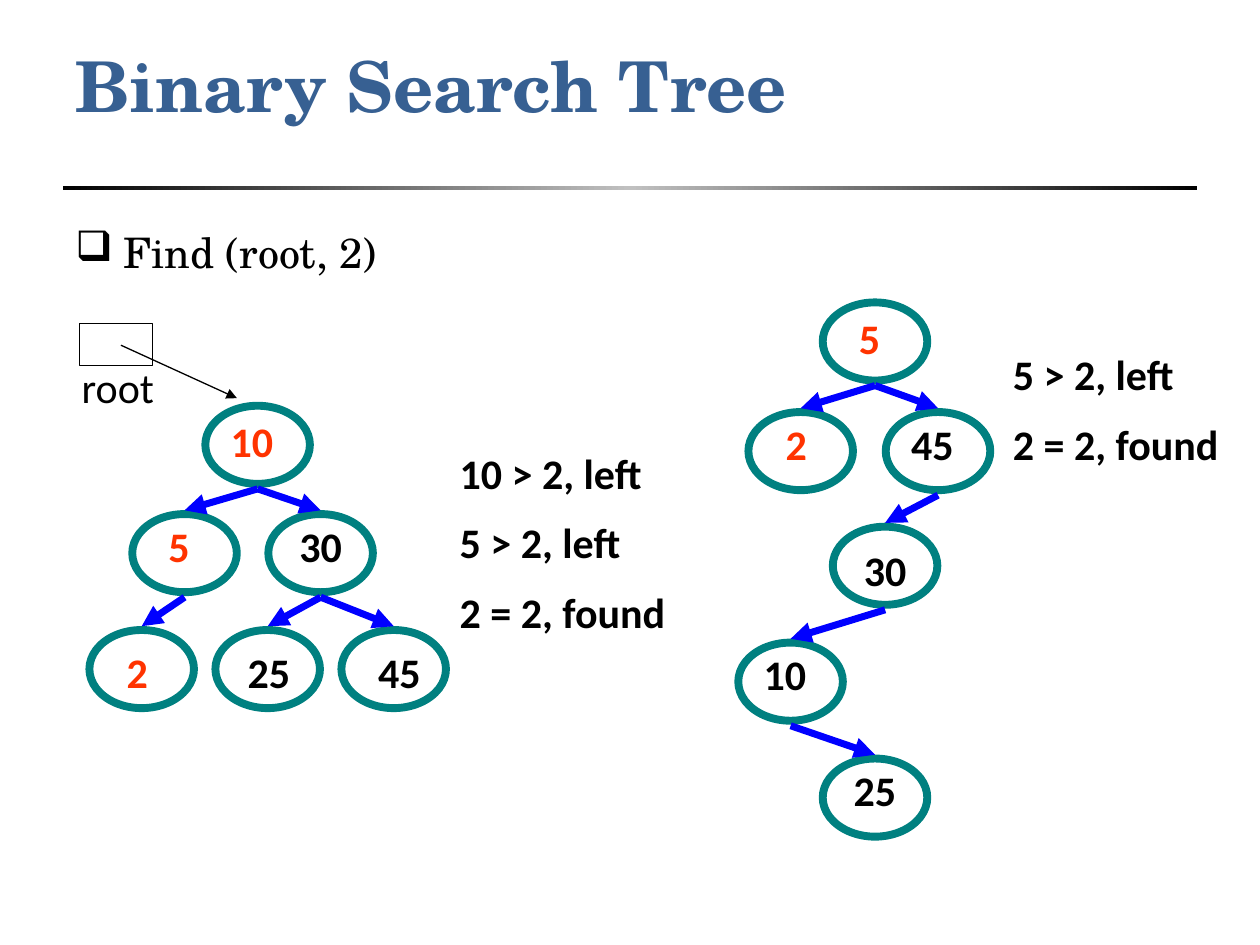
"""Build a slide that compares lookups in a balanced and an unbalanced binary search tree."""
import copy
from dataclasses import dataclass

import lxml.etree
import pptx
import pptx.dml.color
import pptx.enum.dml
import pptx.enum.shapes
import pptx.enum.text
import pptx.oxml.ns
import pptx.util
from pptx.util import Inches

COLORS = {"title": "376092", "text": "000000", "visited": "FF3300", "node": "008080",
          "edge": "0000FF", "rule": "C0C0C0"}
HEADING_FONT, BODY_FONT = "TeX Gyre Schola", "Calibri"
NODE_W, NODE_H = 0.83, 0.62
LABEL_H = 0.5
EDGE_START_GAP, EDGE_END_GAP = 0.04, 0.03


@dataclass
class Node:
    """A tree node with the place of its oval and of its label."""
    value: int
    left: float
    top: float
    label_left: float
    label_top: float
    label_width: float
    visited: bool = False


@dataclass
class Tree:
    """Nodes, parent-child pairs and the search steps beside them."""
    nodes: list[Node]
    edges: list[tuple[int, int]]
    steps: list[str]
    steps_box: tuple[float, float, float, float]


BALANCED = Tree(
    [Node(10, 1.63, 3.22, 1.71, 3.25, 0.58, True),
     Node(5, 1.05, 4.08, 1.21, 4.08, 0.42, True),
     Node(30, 2.13, 4.08, 2.21, 4.08, 0.67),
     Node(2, 0.71, 5, 0.88, 5.08, 0.42, True),
     Node(25, 1.71, 5, 1.8, 5.08, 0.67),
     Node(45, 2.71, 5, 2.88, 5.08, 0.58)],
    [(10, 5), (10, 30), (5, 2), (30, 25), (30, 45)],
    ["10 > 2, left", "5 > 2, left", "2 = 2, found"], (3.55, 3.5, 2.5, 1.7))
UNBALANCED = Tree(
    [Node(5, 6.53, 2.4, 6.69, 2.43, 0.42, True),
     Node(2, 5.94, 3.27, 6.11, 3.27, 0.42, True),
     Node(45, 7.03, 3.27, 7.11, 3.27, 0.58),
     Node(30, 6.61, 4.18, 6.69, 4.27, 0.67),
     Node(10, 5.86, 5.1, 5.94, 5.1, 0.58),
     Node(25, 6.53, 6.02, 6.61, 6.02, 0.67)],
    [(5, 2), (5, 45), (45, 30), (30, 10), (10, 25)],
    ["5 > 2, left", "2 = 2, found"], (7.94, 2.72, 2.05, 1.1))


def rgb(name: str) -> pptx.dml.color.RGBColor:
    """Return a named palette colour."""
    return pptx.dml.color.RGBColor.from_string(COLORS[name])


def style_text(p, size: float, color: str, font: str = BODY_FONT, bold: bool = False) -> None:
    """Format every run of a paragraph."""
    for r in p.runs:
        r.font.size = pptx.util.Pt(size)
        r.font.name = font
        r.font.bold = bold
        r.font.color.rgb = rgb(color)


def add_text(s, lines: list[str], box: tuple[float, float, float, float], color: str = "text",
             font: str = BODY_FONT, bold: bool = False, centered: bool = False,
             wrap: bool = True):
    """Add a text box with one paragraph per line."""
    tf = s.shapes.add_textbox(*map(Inches, box)).text_frame
    tf.word_wrap = wrap
    tf.text = "\n".join(lines)
    for i, p in enumerate(tf.paragraphs):
        if centered:
            p.alignment = pptx.enum.text.PP_ALIGN.CENTER
        if i:
            p.space_before = pptx.util.Pt(11)
        style_text(p, 24, color, font, bold)
    return tf


def add_outline(s, kind, box: tuple[float, float, float, float], color: str,
                width: float) -> None:
    """Add an unfilled preset shape."""
    sp = s.shapes.add_shape(kind, *map(Inches, box))
    sp.shadow.inherit = False
    sp.fill.background()
    sp.line.color.rgb = rgb(color)
    sp.line.width = pptx.util.Pt(width)


def add_arrow(s, start: tuple[float, float], end: tuple[float, float], color: str,
              width: float) -> None:
    """Add a straight line with a triangle at its end."""
    cx = s.shapes.add_connector(pptx.enum.shapes.MSO_CONNECTOR.STRAIGHT,
                                *map(Inches, (*start, *end)))
    cx.line.color.rgb = rgb(color)
    cx.line.width = pptx.util.Pt(width)
    qn = pptx.oxml.ns.qn
    lxml.etree.SubElement(cx.line._get_or_add_ln(), qn("a:tailEnd"), type="triangle")
    lxml.etree.SubElement(cx._element.spPr, qn("a:effectLst"))


def add_tree(s, tree: Tree) -> None:
    """Draw a tree's nodes, edges, labels and search steps."""
    by_value = {node.value: node for node in tree.nodes}
    for node in tree.nodes:
        add_outline(s, pptx.enum.shapes.MSO_SHAPE.OVAL,
                    (node.left, node.top, NODE_W, NODE_H), "node", 4.5)
    for parent_value, child_value in tree.edges:
        parent, child = by_value[parent_value], by_value[child_value]
        add_arrow(s, (parent.left + NODE_W / 2, parent.top + NODE_H + EDGE_START_GAP),
                  (child.left + NODE_W / 2, child.top - EDGE_END_GAP), "edge", 4)
    for node in tree.nodes:
        add_text(s, [str(node.value)],
                 (node.label_left, node.label_top, node.label_width, LABEL_H),
                 "visited" if node.visited else "text", bold=True, centered=True)
    add_text(s, tree.steps, tree.steps_box, bold=True)


def add_title(s, text: str) -> None:
    """Place and format the title placeholder."""
    sp = s.shapes.title
    sp.left, sp.top, sp.width, sp.height = map(Inches, (0.5, 0.3, 9, 0.74))
    tf = sp.text_frame
    tf.text = text
    tf.auto_size = pptx.enum.text.MSO_AUTO_SIZE.NONE
    tf.vertical_anchor = pptx.enum.text.MSO_ANCHOR.MIDDLE
    p = tf.paragraphs[0]
    p.alignment = pptx.enum.text.PP_ALIGN.LEFT
    style_text(p, 40, "title", HEADING_FONT, True)


def add_rule(s) -> None:
    """Add the rule under the title, dark at both ends and light in the middle."""
    sp = s.shapes.add_shape(pptx.enum.shapes.MSO_SHAPE.RECTANGLE,
                            *map(Inches, (0.5, 1.48, 9, 0.03)))
    sp.shadow.inherit = False
    sp.line.fill.background()
    sp.fill.gradient()
    sp.fill.gradient_angle = 0
    stops = sp._element.spPr.find(".//" + pptx.oxml.ns.qn("a:gsLst"))
    stops.append(copy.deepcopy(stops[-1]))
    for stop, position, color in zip(sp.fill.gradient_stops, (0, 0.5, 1),
                                     ("text", "rule", "text")):
        stop.position = position
        stop.color.rgb = rgb(color)


def add_bullet(s, text: str) -> None:
    """Add the bulleted line that names the search."""
    tf = add_text(s, [text], (0.5, 1.75, 9, 4.97), font=HEADING_FONT)
    pPr = tf.paragraphs[0]._p.get_or_add_pPr()
    pPr.set("marL", str(Inches(0.38)))
    pPr.set("indent", str(-Inches(0.38)))
    lxml.etree.SubElement(pPr, pptx.oxml.ns.qn("a:buChar"), char="❑")


def main() -> None:
    """Build and save the slide."""
    prs = pptx.Presentation()
    prs.slide_width, prs.slide_height = Inches(10), Inches(7.5)
    s = prs.slides.add_slide(prs.slide_layouts[5])
    add_rule(s)
    add_title(s, "Binary Search Tree")
    add_bullet(s, "Find (root, 2)")
    add_tree(s, BALANCED)
    add_tree(s, UNBALANCED)
    add_text(s, ["root"], (0.55, 2.82, 0.78, 0.5), wrap=False)
    add_arrow(s, (0.96, 2.74), (1.88, 3.16), "text", 0.75)
    add_outline(s, pptx.enum.shapes.MSO_SHAPE.RECTANGLE, (0.63, 2.57, 0.58, 0.33), "text", 0.75)
    prs.save("out.pptx")


if __name__ == "__main__":
    main()
